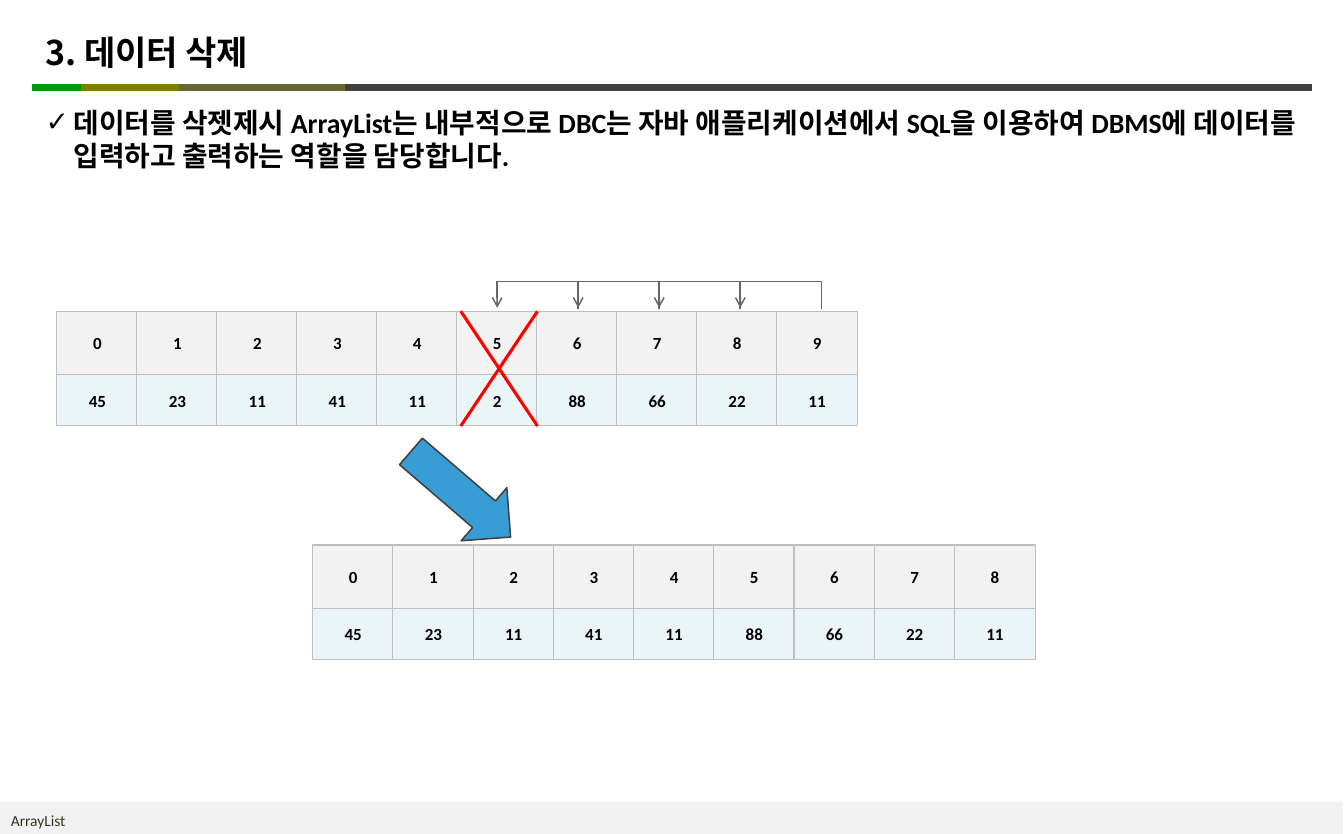
from dataclasses import dataclass
from lxml.etree import SubElement
from pptx import Presentation
from pptx.dml.color import RGBColor
from pptx.enum.shapes import MSO_CONNECTOR as Link, MSO_SHAPE as Shape
from pptx.enum.text import MSO_ANCHOR as Anchor, MSO_AUTO_SIZE as Fit, PP_ALIGN as Align
from pptx.oxml.ns import qn
from pptx.util import Cm, Inches, Pt


@dataclass(frozen=True)
class Theme:
    black: str = "000000"
    footer_text: str = "36351B"
    index_fill: str = "F2F2F2"
    value_fill: str = "EAF5FA"
    border: str = "BFBFBF"
    dark: str = "404040"
    green: str = "009900"
    olive: str = "808000"
    moss: str = "666633"
    shift: str = "666666"
    strike: str = "FF0000"
    arrow: str = "399DD5"
    latin: str = "Calibri"
    korean: str = "Noto Sans CJK KR"
    title_size: float = 22
    body_size: float = 18
    cell_size: float = 11
    footer_size: float = 10


THEME = Theme()
TITLE = "3. 데이터 삭제"
BODY = ("데이터를 삭젯제시 ArrayList는 내부적으로 DBC는 자바 애플리케이션에서 SQL을 이용하여 "
        "DBMS에 데이터를 입력하고 출력하는 역할을 담당합니다.")
FOOTER = "ArrayList"
ARRAYS = [
    (1.3, 17.73, 7.11, [45, 23, 11, 41, 11, 2, 88, 66, 22, 11]),
    (7.14, 21.79, 12.45, [45, 23, 11, 41, 11, 88, 66, 22, 11]),
]
RULE_PARTS = [
    (7.57, 29.95, THEME.dark),
    (0.74, 2.77, THEME.green),
    (1.85, 4.22, THEME.olive),
    (4.09, 7.87, THEME.moss),
]
RULE_TOP, RULE_WIDTH = 2.0, 5
CELL_WIDTH, INDEX_HEIGHT, VALUE_HEIGHT = 1.85, 1.45, 1.17
STRIKE_BOX = (10.52, 7.11, 12.27, 9.73)
SHIFT_COUNT, SHIFT_LEFT, SHIFT_BASE = 4, 11.35, 7.05
SHIFT_RISE, SHIFT_DEPTH = 0.64, 0.04


def apply(target, values):
    for name, value in values.items():
        setattr(target, name, value)


def paint(shape, fill, line=None, width=0.75):
    shape.shadow.inherit = False
    shape.fill.solid()
    shape.fill.fore_color.rgb = RGBColor.from_string(fill)
    if line:
        shape.line.color.rgb = RGBColor.from_string(line)
        shape.line.width = Pt(width)
    else:
        shape.line.fill.background()


def write(shape, text, size, color=THEME.black, bold=True, font=THEME.latin,
          align=Align.LEFT, anchor=Anchor.MIDDLE, inset=None):
    frame = shape.text_frame
    apply(frame, {"word_wrap": True, "auto_size": Fit.NONE, "vertical_anchor": anchor})
    if inset is not None:
        sides = ("left", "top", "right", "bottom")
        apply(frame, {f"margin_{side}": Cm(inset) for side in sides})
    para = frame.paragraphs[0]
    apply(para, {"alignment": align, "space_before": Pt(0)})
    span = para.add_run()
    span.text = text
    apply(span.font, {"name": font, "size": Pt(size), "bold": bold})
    span.font.color.rgb = RGBColor.from_string(color)
    if font == THEME.korean:
        SubElement(span.font._element, qn("a:ea"), typeface=font)
    return para


def add_box(page, kind, *bounds):
    return page.shapes.add_shape(kind, *map(Cm, bounds))


def add_line(page, bounds, color, width, kind=Link.STRAIGHT):
    line = page.shapes.add_connector(kind, *map(Cm, bounds))
    line.line.color.rgb = RGBColor.from_string(color)
    line.line.width = Pt(width)
    SubElement(line._element.spPr, qn("a:effectLst"))
    return line


def add_bullet(para, mark):
    props = para._p.get_or_add_pPr()
    for name, value in {"marL": Cm(0.64), "indent": -Cm(0.64)}.items():
        props.set(name, str(value))
    SubElement(props, qn("a:buFont"), typeface=THEME.latin)
    SubElement(props, qn("a:buChar"), char=mark)


def add_frame(page):
    paint(add_box(page, Shape.RECTANGLE, 0, 18.31, 30.66, 0.74), THEME.index_fill)
    for left, right, color in RULE_PARTS:
        add_line(page, (left, RULE_TOP, right, RULE_TOP), color, RULE_WIDTH)
    footer = page.shapes.add_textbox(Cm(0), Cm(18.42), Cm(6.15), Cm(0.66))
    write(footer, FOOTER, THEME.footer_size, THEME.footer_text, bold=False)


def add_text(page):
    title = page.shapes.title
    apply(title, {"left": Cm(0.94), "top": Cm(0.38), "width": Cm(25.4), "height": Cm(1.6)})
    write(title, TITLE, THEME.title_size, font=THEME.korean, inset=0.1)
    body = page.shapes.add_textbox(Cm(0.94), Cm(2.31), Cm(28.8), Cm(1.75))
    add_bullet(write(body, BODY, THEME.body_size, anchor=Anchor.TOP, inset=0.1), "✓")


def add_array(page, first_left, last_left, top, values):
    pitch = (last_left - first_left) / (len(values) - 1)
    for index, value in enumerate(values):
        rows = [
            (index, top, INDEX_HEIGHT, THEME.index_fill),
            (value, top + INDEX_HEIGHT, VALUE_HEIGHT, THEME.value_fill),
        ]
        for number, row_top, height, fill in rows:
            cell = add_box(page, Shape.RECTANGLE, first_left + index * pitch,
                           row_top, CELL_WIDTH, height)
            paint(cell, fill, THEME.border)
            write(cell, str(number), THEME.cell_size, align=Align.CENTER)


def add_shift(page, step):
    middle = SHIFT_LEFT + (step + 0.5) * CELL_WIDTH
    half_depth, half_span = SHIFT_DEPTH / 2, CELL_WIDTH / 2
    bounds = (middle - half_depth, SHIFT_BASE + half_span,
              middle + half_depth, SHIFT_BASE - half_span)
    link = add_line(page, bounds, THEME.shift, 1, Link.ELBOW)
    props = link._element.spPr
    props.find(qn("a:xfrm")).set("rot", str(270 * 60000))
    geometry = props.find(qn("a:prstGeom"))
    guides = geometry.find(qn("a:avLst"))
    if guides is None:
        guides = SubElement(geometry, qn("a:avLst"))
    bend = round(SHIFT_RISE / SHIFT_DEPTH * 100000)
    SubElement(guides, qn("a:gd"), name="adj1", fmla=f"val {bend}")
    SubElement(props.find(qn("a:ln")), qn("a:tailEnd"), type="arrow")


def add_deletion(page):
    left, top, right, bottom = STRIKE_BOX
    for start, end in ((left, right), (right, left)):
        add_line(page, (start, bottom, end, top), THEME.strike, 2)
    for step in range(SHIFT_COUNT):
        add_shift(page, step)
    arrow = add_box(page, Shape.RIGHT_ARROW, 9.02, 10.49, 3, 1.6)
    arrow.rotation = 40.7
    paint(arrow, THEME.arrow, THEME.dark, 1)


def main():
    deck = Presentation()
    apply(deck, {"slide_width": Inches(12.08), "slide_height": Inches(7.5)})
    page = deck.slides.add_slide(deck.slide_layouts.get_by_name("Title Only"))
    add_frame(page)
    add_text(page)
    for array in ARRAYS:
        add_array(page, *array)
    add_deletion(page)
    deck.save("out.pptx")


if __name__ == "__main__":
    main()
